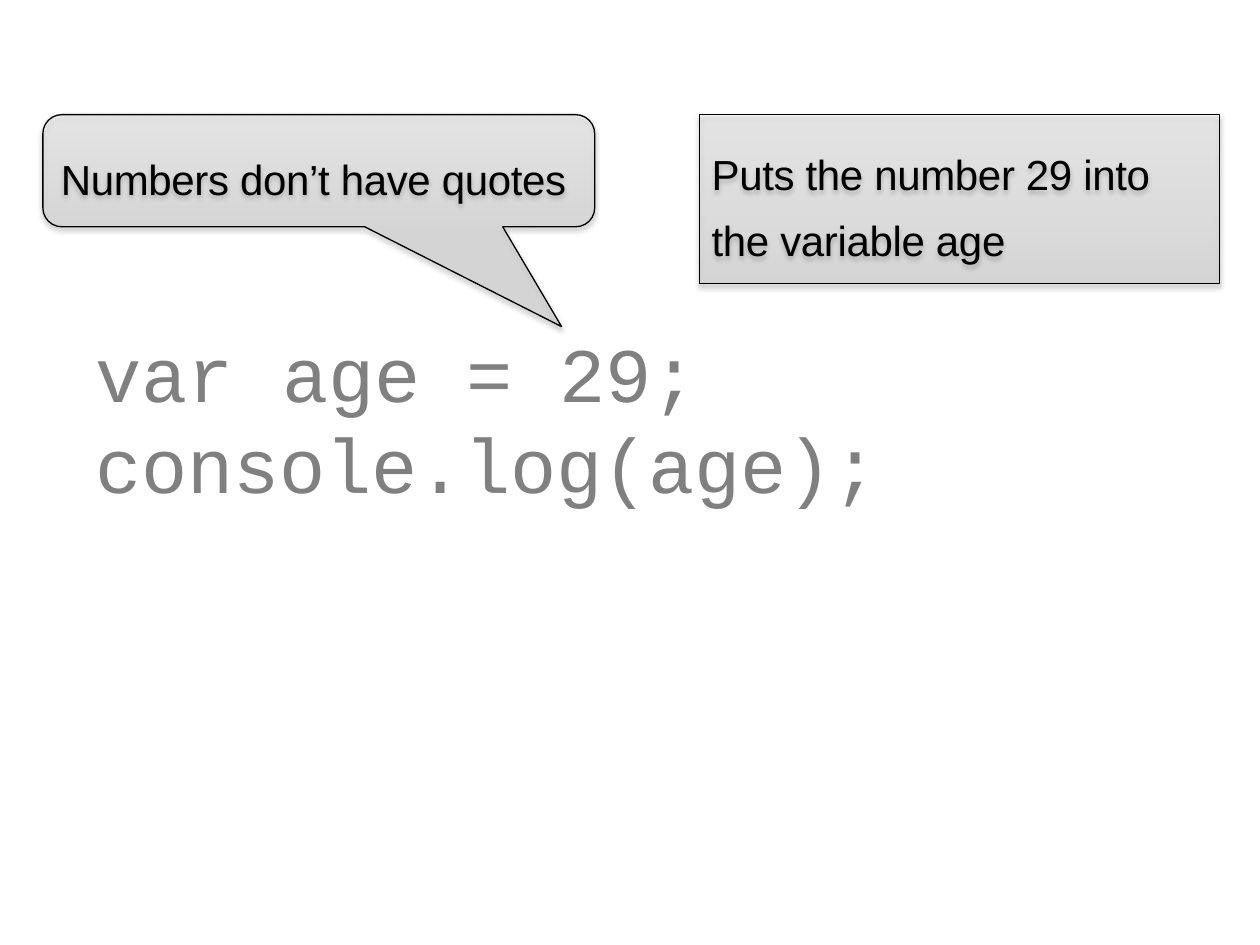
from dataclasses import dataclass

import pptx
import pptx.dml.color
import pptx.enum.shapes
import pptx.enum.text
import pptx.oxml
import pptx.oxml.ns
import pptx.util
from pptx.util import Inches

COLORS = {
    "code": "808080",
    "text": "000000",
    "outline": "000000",
    "shadow": "000000",
    "bottom": "BDBDBD",
    "middle": "D1D1D1",
    "top": "EEEEEE",
}
GRADIENT = ((0, "bottom"), (35, "middle"), (100, "top"))
SHAPES = pptx.enum.shapes.MSO_SHAPE
NAMESPACE = pptx.oxml.ns.nsdecls("a")


@dataclass(frozen=True)
class CodeLine:
    text: str
    width: float
    tabs: tuple[float, ...] = ()


@dataclass(frozen=True)
class Note:
    text: str
    left: float
    width: float
    height: float
    kind: SHAPES
    adjustments: tuple[float, ...] = ()


CODE_LEFT, CODE_TOP, CODE_PITCH, CODE_HEIGHT = 0.75, 2.58, 0.73, 0.74
NOTE_TOP = 0.91
CODE_LINES = (
    CodeLine("var\tage =\t29;", 4.8, (1.48, 3.68)),
    CodeLine("console.log(age);", 6.26),
)
NOTES = (
    Note("Numbers don’t have quotes", 0.34, 4.38, 0.89,
         SHAPES.ROUNDED_RECTANGULAR_CALLOUT, (0.44, 1.39, 0.17)),
    Note("Puts the number 29 into the variable age", 5.55, 4.13, 1.34,
         SHAPES.RECTANGLE),
)


def write_text(frame, text: str, *, font: str, size: float, color: str,
               spacing: float, line_spacing: float = 1.0,
               indent: float = 0, tabs: tuple[float, ...] = ()) -> None:
    frame.word_wrap = True
    paragraph = frame.paragraphs[0]
    paragraph.alignment = pptx.enum.text.PP_ALIGN.LEFT
    paragraph.line_spacing = line_spacing
    properties = paragraph._p.get_or_add_pPr()
    properties.set("marL", str(Inches(indent)))
    if tabs:
        stops = "".join(f'<a:tab pos="{Inches(tab)}" algn="l"/>' for tab in tabs)
        properties.append(pptx.oxml.parse_xml(
            f"<a:tabLst {NAMESPACE}>{stops}</a:tabLst>"))
    run = paragraph.add_run()
    run.text = text
    run.font.name = font
    run.font.size = pptx.util.Pt(size)
    run.font.color.rgb = pptx.dml.color.RGBColor.from_string(COLORS[color])
    run._r.get_or_add_rPr().set("spc", str(round(spacing * 100)))


def add_gradient_and_shadow(shape) -> None:
    shape.fill.gradient()
    shape.shadow.inherit = False
    properties = shape._element.spPr
    stops = "".join(
        f'<a:gs pos="{position * 1000}"><a:srgbClr val="{COLORS[color]}">'
        f'<a:alpha val="31000"/></a:srgbClr></a:gs>'
        for position, color in GRADIENT)
    gradient = pptx.oxml.parse_xml(
        f'<a:gradFill {NAMESPACE} rotWithShape="1"><a:gsLst>{stops}</a:gsLst>'
        f'<a:lin ang="16200000" scaled="0"/></a:gradFill>')
    properties.replace(properties.find(pptx.oxml.ns.qn("a:gradFill")), gradient)
    properties.find(pptx.oxml.ns.qn("a:effectLst")).append(pptx.oxml.parse_xml(
        f'<a:outerShdw {NAMESPACE} blurRad="{pptx.util.Pt(3.1)}" '
        f'dist="{pptx.util.Pt(1.6)}" dir="5400000" rotWithShape="0">'
        f'<a:srgbClr val="{COLORS["shadow"]}"><a:alpha val="38000"/></a:srgbClr>'
        f'</a:outerShdw>'))


def add_code_line(slide, line: CodeLine, top: float) -> None:
    code = slide.shapes.add_textbox(
        Inches(CODE_LEFT), Inches(top), Inches(line.width), Inches(CODE_HEIGHT))
    frame = code.text_frame
    frame.margin_left = frame.margin_right = 0
    frame.margin_top = frame.margin_bottom = 0
    write_text(frame, line.text, font="Courier New", size=44, color="code",
               spacing=-0.1, indent=0.01, tabs=line.tabs)


def add_note(slide, note: Note) -> None:
    callout = slide.shapes.add_shape(
        note.kind, Inches(note.left), Inches(NOTE_TOP),
        Inches(note.width), Inches(note.height))
    for index, value in enumerate(note.adjustments):
        callout.adjustments[index] = value
    callout.line.color.rgb = pptx.dml.color.RGBColor.from_string(COLORS["outline"])
    callout.line.width = pptx.util.Pt(0.75)
    add_gradient_and_shadow(callout)
    callout.text_frame.vertical_anchor = pptx.enum.text.MSO_ANCHOR.MIDDLE
    write_text(callout.text_frame, note.text, font="Arial", size=24, color="text",
               spacing=-0.2, line_spacing=1.3)


def main() -> None:
    presentation = pptx.Presentation()
    presentation.slide_width = Inches(10)
    presentation.slide_height = Inches(7.5)
    slide = presentation.slides.add_slide(presentation.slide_layouts[6])
    for row, line in enumerate(CODE_LINES):
        add_code_line(slide, line, CODE_TOP + row * CODE_PITCH)
    for note in NOTES:
        add_note(slide, note)
    presentation.save("out.pptx")


if __name__ == "__main__":
    main()
